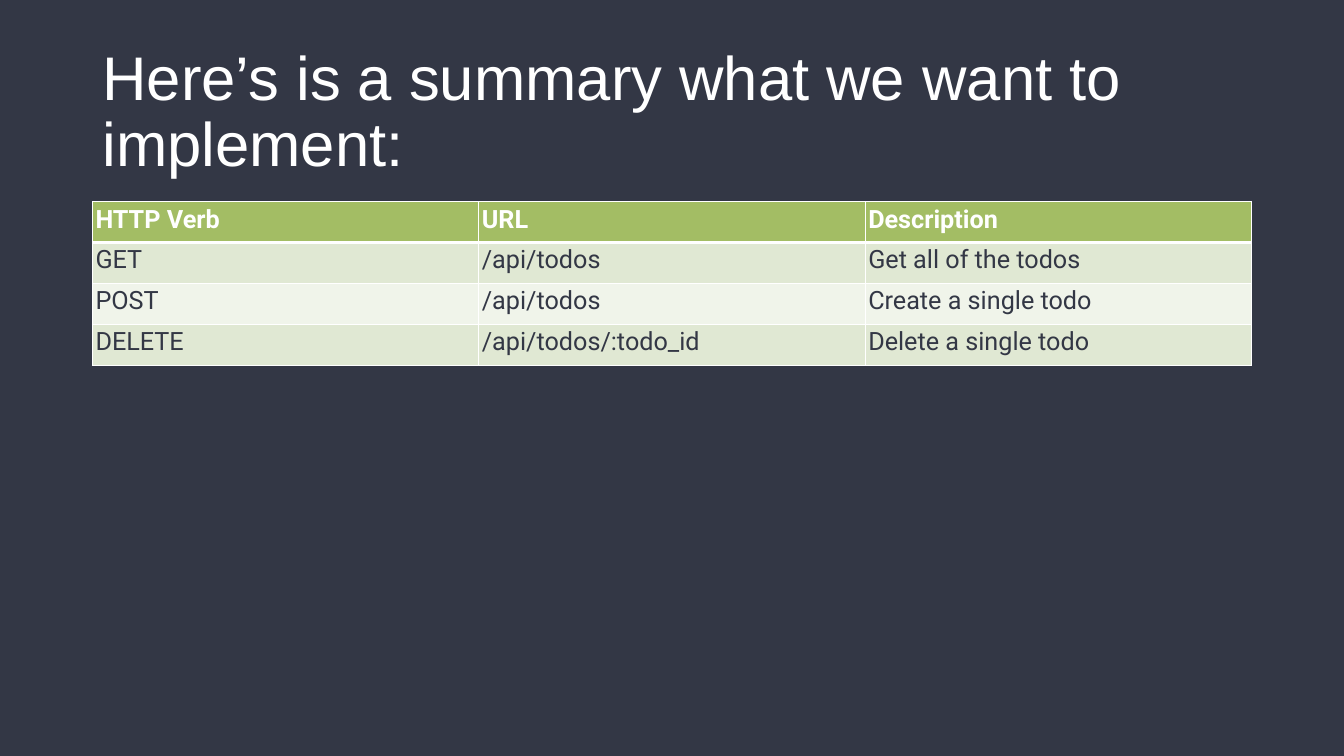
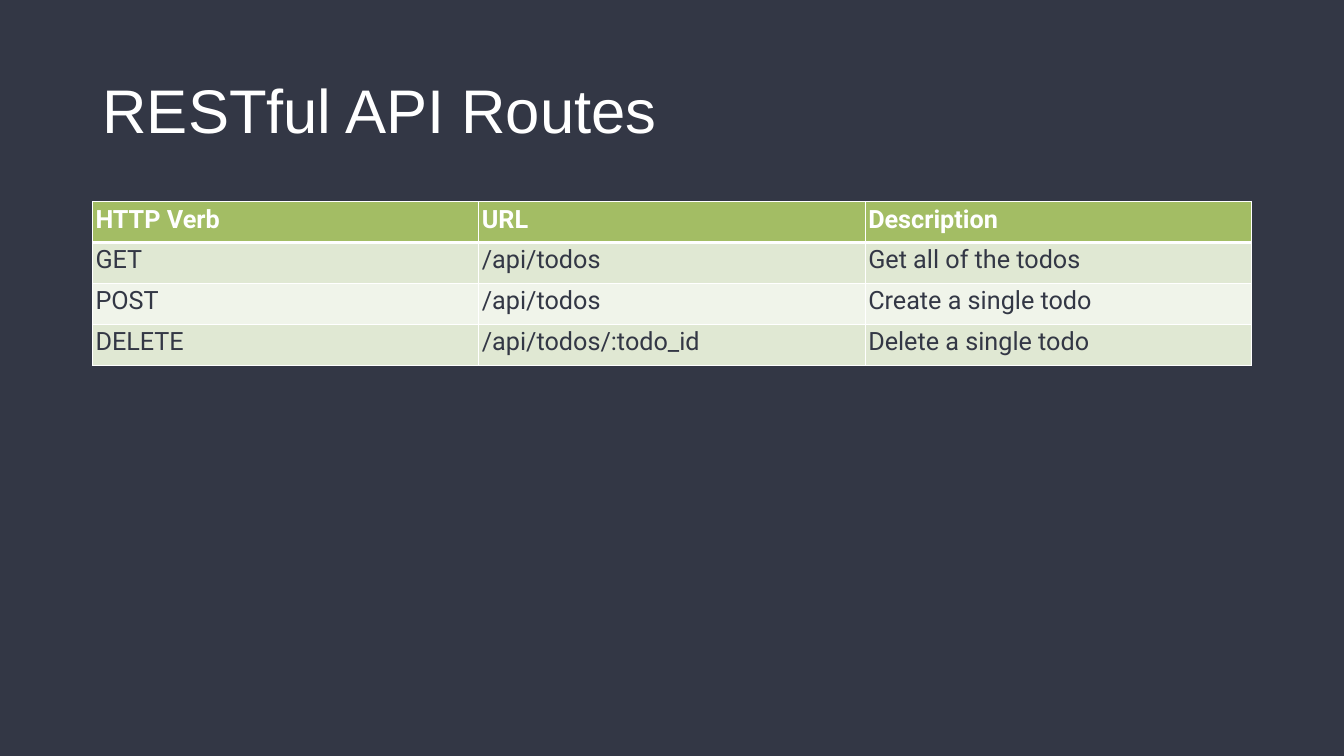
from typing import NamedTuple

from lxml import etree
from pptx import Presentation
from pptx import util as u
from pptx.dml.color import RGBColor
from pptx.enum import text
from pptx.oxml import ns

NAVY = "333745"
WHITE = "FFFFFF"
GREEN = "A3BD64"
BANDS = ("E0E8D3", "F0F4EA")

LEFT, WIDTH = 66, 828
TITLE_TOP, TITLE_HEIGHT = 28.75, 104.4
TABLE_TOP, ROW_HEIGHT = 144, 29.25
CELL_MARGIN = 2.25
THIN, THICK = 1, 3


class Route(NamedTuple):
    verb: str
    url: str
    description: str


HEADER = Route("HTTP Verb", "URL", "Description")
ROUTES = (
    Route("GET", "/api/todos", "Get all of the todos"),
    Route("POST", "/api/todos", "Create a single todo"),
    Route("DELETE", "/api/todos/:todo_id", "Delete a single todo"),
)
TITLES = ("Here’s is a summary what we want to implement:", "RESTful API Routes")


def color(value: str) -> RGBColor:
    return RGBColor.from_string(value)


def set_font(font, name: str, size: float, fill: str, bold: bool = False) -> None:
    font.name, font.size, font.bold = name, u.Pt(size), bold
    font.color.rgb = color(fill)


def add_title(page, wording: str) -> None:
    title = page.shapes.title
    title.left, title.top = u.Pt(LEFT), u.Pt(TITLE_TOP)
    title.width, title.height = u.Pt(WIDTH), u.Pt(TITLE_HEIGHT)
    frame = title.text_frame
    frame.text = wording
    frame.word_wrap = True
    frame.auto_size = text.MSO_AUTO_SIZE.NONE
    frame.vertical_anchor = text.MSO_ANCHOR.MIDDLE
    para = frame.paragraphs[0]
    para.alignment = text.PP_ALIGN.LEFT
    para.line_spacing = 0.9
    set_font(para.font, "Arial", 44, WHITE)


def set_borders(cell, top: float, bottom: float) -> None:
    """Draw white borders; call before filling, as the schema puts lines first."""
    properties = cell._tc.get_or_add_tcPr()
    sides = {"L": THIN, "R": THIN, "T": top, "B": bottom}
    for side, width in sides.items():
        line = etree.SubElement(properties, ns.qn(f"a:ln{side}"), w=str(u.Pt(width)))
        fill = etree.SubElement(line, ns.qn("a:solidFill"))
        etree.SubElement(fill, ns.qn("a:srgbClr"), val=WHITE)


def format_cell(cell, wording: str, row: int) -> None:
    is_header = row == 0
    set_borders(cell, THICK if row == 1 else THIN, THICK if is_header else THIN)
    cell.fill.solid()
    cell.fill.fore_color.rgb = color(GREEN if is_header else BANDS[(row - 1) % 2])
    cell.margin_left = cell.margin_right = u.Pt(CELL_MARGIN)
    cell.margin_top = cell.margin_bottom = u.Pt(CELL_MARGIN)
    cell.text = wording
    set_font(cell.text_frame.paragraphs[0].font, "Roboto", 18,
             WHITE if is_header else NAVY, is_header)


def add_route_table(page) -> None:
    rows = (HEADER, *ROUTES)
    frame = page.shapes.add_table(
        len(rows), len(HEADER), u.Pt(LEFT), u.Pt(TABLE_TOP),
        u.Pt(WIDTH), u.Pt(ROW_HEIGHT * len(rows)))
    for row, route in enumerate(rows):
        for column, wording in enumerate(route):
            format_cell(frame.table.cell(row, column), wording, row)


def main() -> None:
    deck = Presentation()
    deck.slide_width, deck.slide_height = u.Pt(960), u.Pt(540)
    background = deck.slide_master.background.fill
    background.solid()
    background.fore_color.rgb = color(NAVY)
    title_only = deck.slide_layouts.get_by_name("Title Only")
    for wording in TITLES:
        page = deck.slides.add_slide(title_only)
        add_title(page, wording)
        add_route_table(page)
    deck.save("out.pptx")


if __name__ == "__main__":
    main()
